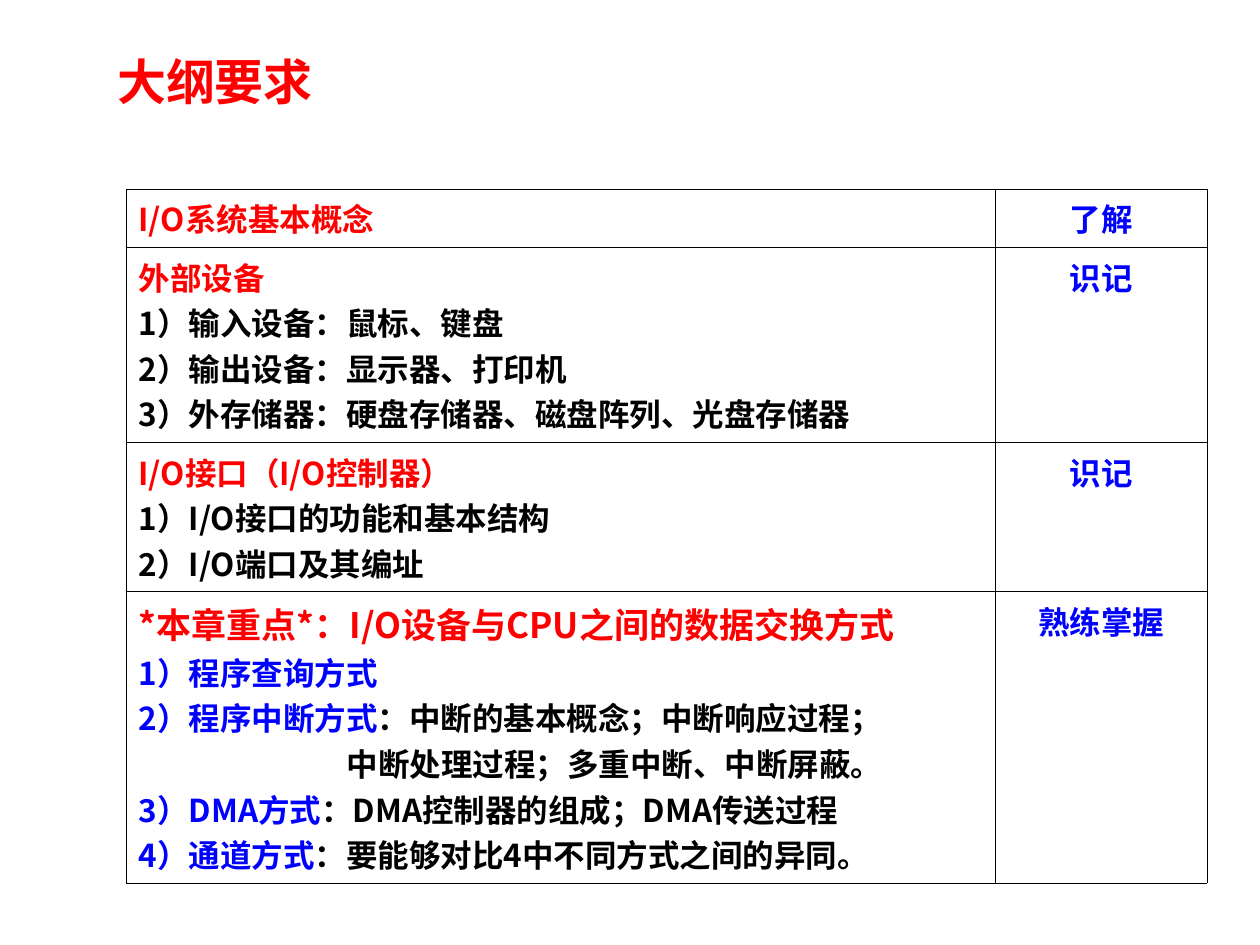
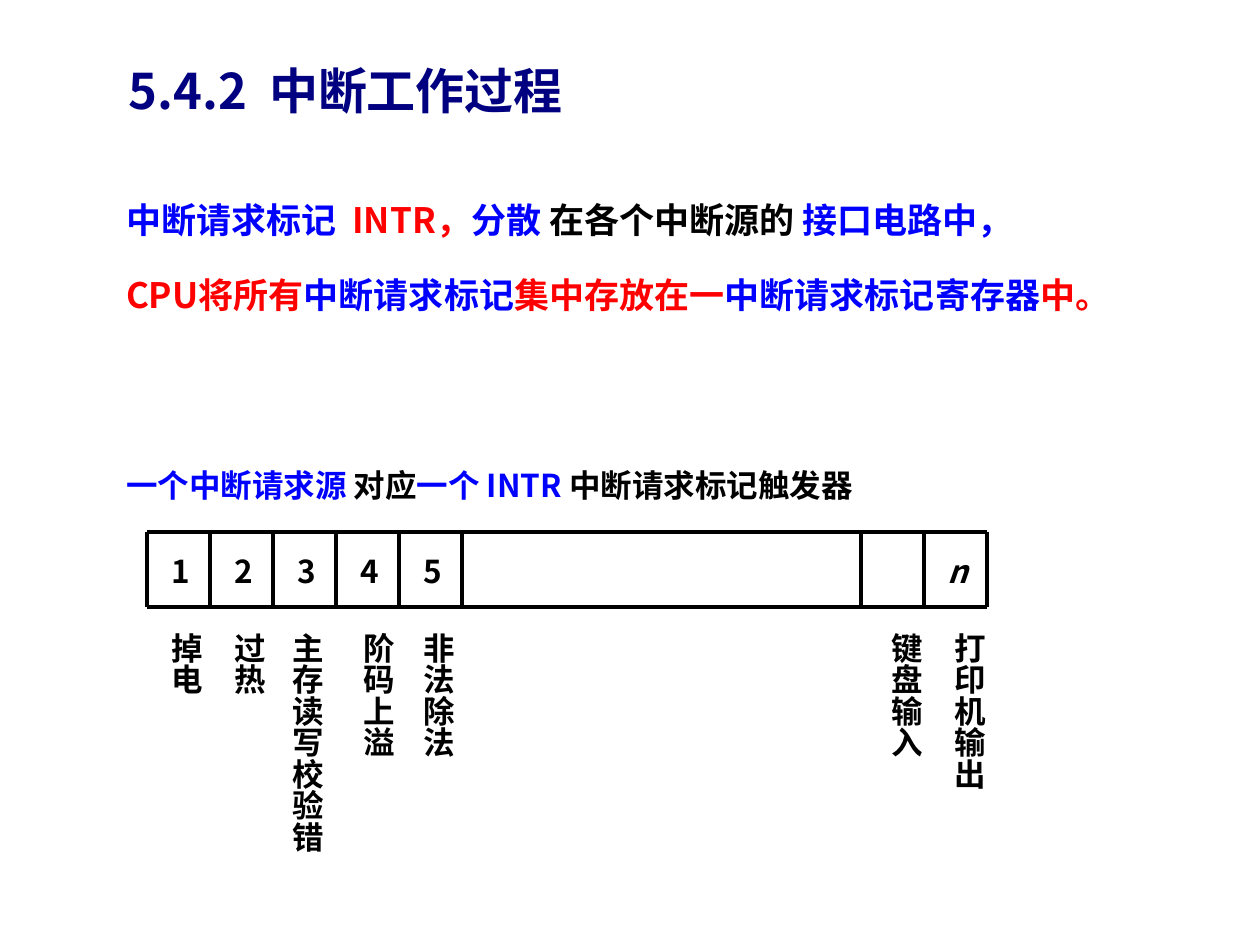
from lxml import etree
from pptx import Presentation
from pptx.dml.color import RGBColor
from pptx.enum import shapes, text
from pptx.oxml.ns import qn
from pptx.util import Inches, Pt

RED = RGBColor(0xFF, 0, 0)
BLUE = RGBColor(0, 0, 0xFF)
NAVY = RGBColor(0, 0, 0x80)
BLACK = RGBColor(0, 0, 0)
WHITE = RGBColor(0xFF, 0xFF, 0xFF)
FONT = "Noto Sans CJK SC"
LEFT, MID = text.PP_ALIGN.LEFT, text.PP_ALIGN.CENTER
SHAPE_FIT = text.MSO_AUTO_SIZE.SHAPE_TO_FIT_TEXT

GOALS = [
    ([[("I/O系统基本概念", RED)]], "了解"),
    ([[("外部设备", RED)],
      [("1）输入设备：鼠标、键盘", BLACK)],
      [("2）输出设备：显示器、打印机", BLACK)],
      [("3）外存储器：硬盘存储器、磁盘阵列、光盘存储器", BLACK)]], "识记"),
    ([[("I/O接口（I/O控制器）", RED)],
      [("1）I/O接口的功能和基本结构", BLACK)],
      [("2）I/O端口及其编址", BLACK)]], "识记"),
    ([[("*本章重点*：I/O设备与CPU之间的数据交换方式", RED, 20)],
      [("1）程序查询方式", BLUE)],
      [("2）程序中断方式", BLUE), ("：中断的基本概念；中断响应过程；", BLACK)],
      [("中断处理过程；多重中断、中断屏蔽。", BLACK)],
      [("3）DMA方式", BLUE), ("：DMA控制器的组成；DMA传送过程", BLACK)],
      [("4）通道方式", BLUE), ("：要能够对比4中不同方式之间的异同。", BLACK)]], "熟练掌握"),
]
COLS = (6.9, 1.68)
ROWS = (0.42, 1.3, 1, 1.95)
INDENTS = {(3, 3): 1.65}

MARKS = [
    [("中断请求标记  ", BLUE, 20), ("INTR，", RED, 20), ("分散 ", BLUE, 20),
     ("在各个中断源的 ", BLACK, 20), ("接口电路中，", BLUE, 20)],
    [("CPU将所有", RED, 20), ("中断请求标记", BLUE, 20), ("集中存放在一", RED, 20),
     ("中断请求标记寄存器", BLUE, 20), ("中。", RED, 20)],
]
NOTE = [[("一个中断请求源", BLUE), (" 对应", BLACK), ("一个 INTR ", BLUE),
         ("中断请求标记触发器", BLACK)]]
BITS = [(0, "1"), (1, "2"), (2, "3"), (3, "4"), (4, "5"), (7, "n")]
CAUSES = [
    ("掉电", 1.18, 0.6), ("过热", 1.68, 0.6), ("主存读写校验错", 2.14, 1.85),
    ("阶码上溢", 2.7, 1.1), ("非法除法", 3.18, 1.1),
    ("键盘输入", 6.89, 1.3), ("打印机输出", 7.39, 1.7),
]
STEP, TOP, BASE = 0.5, 4.22, 4.82
EDGES = [1.17 + STEP * i for i in range(6)] + [6.83 + STEP * i for i in range(3)]


def write(frame, lines, align=LEFT, gap=0, indents=None):
    for i, line in enumerate(lines):
        para = frame.paragraphs[0] if i == 0 else frame.add_paragraph()
        props = para._p.get_or_add_pPr()
        props.set("marL", str(Inches((indents or {}).get(i, 0))))
        props.set("indent", "0")
        etree.SubElement(props, qn("a:buNone"))
        para.alignment = align
        para.space_before = Pt(gap if i else 0)
        for words, color, *size in line:
            run = para.add_run()
            run.text = words
            font = run.font
            font.size = Pt(size[0] if size else 18)
            font.name, font.bold = FONT, True
            font.color.rgb = color
            east = etree.SubElement(run._r.get_or_add_rPr(), qn("a:ea"))
            east.set("typeface", FONT)


def place(shape, left, top, width, height):
    shape.left, shape.top = Inches(left), Inches(top)
    shape.width, shape.height = Inches(width), Inches(height)


def setup(frame, anchor, pad, wrap=True, fit=text.MSO_AUTO_SIZE.NONE):
    frame.vertical_anchor = anchor
    frame.margin_left = frame.margin_right = Inches(pad)
    frame.margin_top = frame.margin_bottom = Inches(0.05)
    frame.word_wrap, frame.auto_size = wrap, fit


def head(slide, words, color, *box):
    title = slide.shapes.title
    place(title, *box)
    setup(title.text_frame, text.MSO_ANCHOR.TOP, 0.1)
    write(title.text_frame, [[(words, color, 28)]])


def label(slide, lines, box, anchor=text.MSO_ANCHOR.TOP, pad=0.1, **style):
    frame = slide.shapes.add_textbox(*map(Inches, box)).text_frame
    setup(frame, anchor, pad, False, style.pop("fit", SHAPE_FIT))
    write(frame, lines, **style)
    return frame


def rule(slide, x1, y1, x2, y2):
    line = slide.shapes.add_connector(
        shapes.MSO_CONNECTOR.STRAIGHT, *map(Inches, (x1, y1, x2, y2)))
    line.line.color.rgb, line.line.width = BLACK, Pt(2.25)
    etree.SubElement(line._element.spPr, qn("a:effectLst"))


def border(cell):
    props = cell._tc.get_or_add_tcPr()
    for i, side in enumerate("LRTB"):
        edge = etree.Element(qn("a:ln" + side), w=str(Pt(0.34)))
        fill = etree.SubElement(edge, qn("a:solidFill"))
        etree.SubElement(fill, qn("a:srgbClr"), val=str(BLACK))
        props.insert(i, edge)


def goals(deck):
    slide = deck.slides.add_slide(deck.slide_layouts[5])
    head(slide, "大纲要求", RED, 0.83, 0.36, 2.91, 0.57)
    box = map(Inches, (1, 1.5, sum(COLS), sum(ROWS)))
    grid = slide.shapes.add_table(len(ROWS), len(COLS), *box).table
    grid.first_row = grid.horz_banding = False
    for col, width in zip(grid.columns, COLS):
        col.width = Inches(width)
    for r, (lines, level) in enumerate(GOALS):
        grid.rows[r].height = Inches(ROWS[r])
        shifts = {p: size for (row, p), size in INDENTS.items() if row == r}
        write(grid.cell(r, 0).text_frame, lines, indents=shifts)
        write(grid.cell(r, 1).text_frame, [[(level, BLUE)]], MID)
        for cell in grid.rows[r].cells:
            cell.fill.solid()
            cell.fill.fore_color.rgb = WHITE
            border(cell)


def marks(deck):
    slide = deck.slides.add_slide(deck.slide_layouts[1])
    head(slide, "5.4.2  中断工作过程", NAVY, 0.92, 0.43, 4.42, 0.57)
    body = slide.placeholders[1]
    place(body, 1, 1.58, 8.2, 0.92)
    setup(body.text_frame, text.MSO_ANCHOR.MIDDLE, 0)
    write(body.text_frame, MARKS, gap=19)
    frame = label(slide, NOTE, (1, 3.56, 7.58, 0.58), text.MSO_ANCHOR.MIDDLE,
                  0, fit=text.MSO_AUTO_SIZE.NONE)
    frame.word_wrap = True
    for y in (TOP, BASE):
        rule(slide, EDGES[0], y, EDGES[-1], y)
    for x in EDGES:
        rule(slide, x, TOP, x, BASE)
    for slot, name in BITS:
        box = (EDGES[slot] + 0.09, 4.33, 0.34, 0.4)
        frame = label(slide, [[(name, BLACK)]], box, align=MID)
        frame.paragraphs[0].runs[0].font.italic = name == "n"
    for name, left, height in CAUSES:
        frame = label(slide, [[(name, BLACK)]], (left, 4.92, 0.5, height), pad=0.05)
        frame.margin_top = frame.margin_bottom = Inches(0.1)
        frame._txBody.bodyPr.set("vert", "eaVert")
        frame.word_wrap = left > EDGES[6]


def main():
    deck = Presentation()
    deck.slide_width, deck.slide_height = Inches(10), Inches(7.5)
    goals(deck)
    marks(deck)
    deck.save("out.pptx")


if __name__ == "__main__":
    main()
